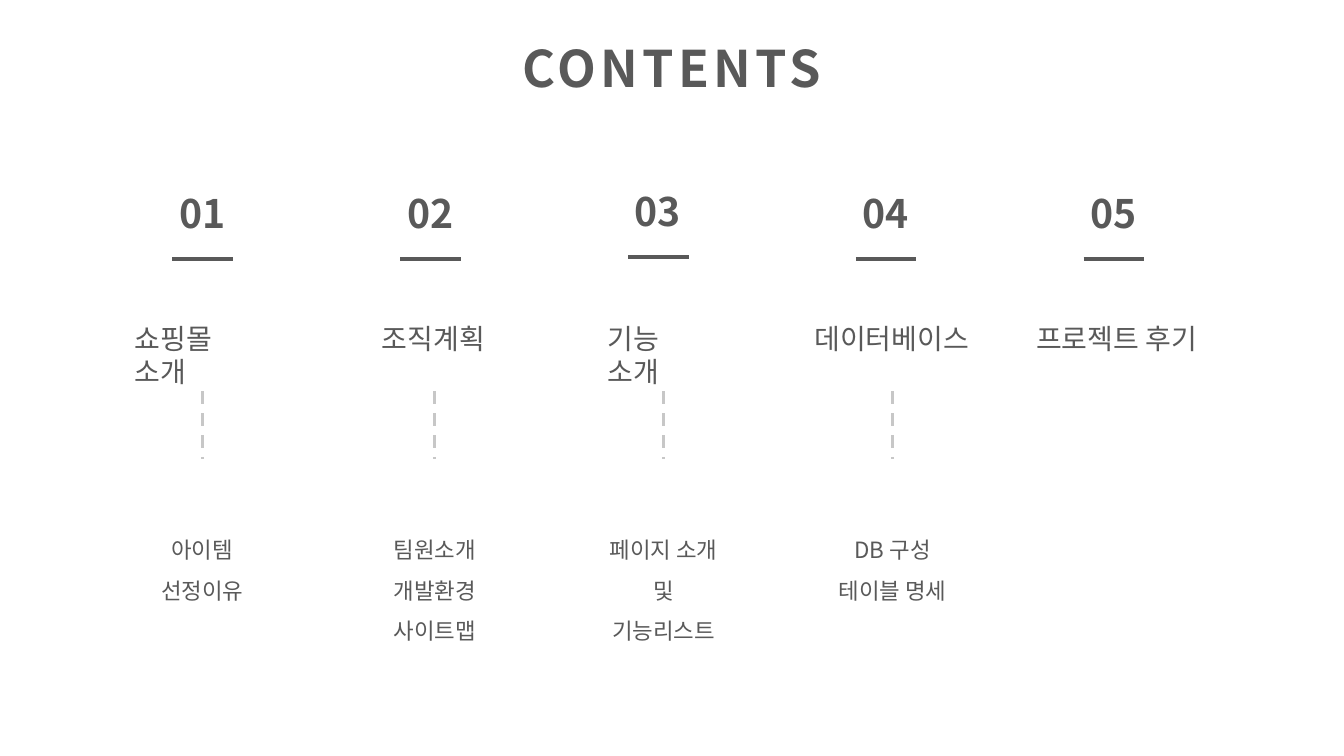
"""Build the five-column contents slide."""
from lxml.etree import SubElement
from pptx import Presentation
from pptx.dml.color import RGBColor
from pptx.enum.dml import MSO_LINE
from pptx.enum.shapes import MSO_CONNECTOR
from pptx.enum.text import MSO_ANCHOR, MSO_AUTO_SIZE, PP_ALIGN
from pptx.oxml.ns import qn
from pptx.util import Pt

FONT, DARK, GRAY = "Noto Sans CJK KR", "595959", "C7C7C7"


def write(sp, box, text, size, bold=False, align=PP_ALIGN.LEFT, wrap=False):
    sp.left, sp.top, sp.width, sp.height = [Pt(v) for v in box]
    tf = sp.text_frame
    tf.text = text
    tf.word_wrap = wrap
    tf.auto_size = MSO_AUTO_SIZE.NONE
    tf.vertical_anchor = MSO_ANCHOR.TOP
    for p in tf.paragraphs:
        p.alignment = align
        p.space_before = Pt(0)
        for r in p.runs:
            r.font.size, r.font.bold, r.font.name = Pt(size), bold, FONT
            r.font.color.rgb = RGBColor.from_string(DARK)
            SubElement(r.font._element, qn("a:ea"), typeface=FONT)
    return tf


def line(x1, y1, x2, y2, color, width):
    c = s.shapes.add_connector(MSO_CONNECTOR.STRAIGHT, Pt(x1), Pt(y1), Pt(x2), Pt(y2))
    c.line.color.rgb = RGBColor.from_string(color)
    c.line.width = Pt(width)
    SubElement(c._element.spPr, qn("a:effectLst"))
    return c


prs = Presentation()
prs.slide_width, prs.slide_height = Pt(960), Pt(540)
s = prs.slides.add_slide(prs.slide_layouts.get_by_name("Comparison"))

tf = write(s.shapes.title, (362, 23, 236, 51), "CONTENTS", 36, True, PP_ALIGN.CENTER)
tf.paragraphs[0].runs[0].font._element.set("spc", "300")

sections = [
    ("쇼핑몰\v소개", 89.3, 111.6),
    ("조직계획", 265.7, 88.6),
    ("기능\v소개", 427, 93.6),
    ("데이터베이스", 574.6, 126),
    ("프로젝트 후기", 733, 134.6),
]
for i, (heading, x, w) in enumerate(sections):
    left = 121 + 162.72 * i
    lift = 1.2 if i == 2 else 0
    sp = s.shapes.add_textbox(0, 0, 0, 0)
    write(sp, (left, 131.8 - lift, 48.2, 41), f"{i + 1:02d}", 28, True)
    line(left + 2.2, 185 - lift, left + 45.4, 185 - lift, DARK, 3)
    sp = s.shapes.add_textbox(0, 0, 0, 0)
    write(sp, (x, 226, w, 31.7), heading, 20, wrap="\v" in heading)

details = [
    ("아이템\n선정이유", 144.4, 144.7),
    ("팀원소개\n개발환경\n사이트맵", 310.6, 310.3),
    ("페이지 소개\n및\n기능리스트", 474.1, 473.8),
    ("DB 구성\n테이블 명세", 637.6, 637.2),
]
for idx, (text, center, dash_x) in enumerate(details, 1):
    box = (center - 55, 370, 110, 124)
    tf = write(s.placeholders[idx], box, text, 16, align=PP_ALIGN.CENTER, wrap=True)
    for p in tf.paragraphs:
        p.line_spacing = 1.5
        pPr = p._p.get_or_add_pPr()
        pPr.set("marL", "0")
        pPr.set("indent", "0")
        SubElement(pPr, qn("a:buNone"))
    line(dash_x, 279.4, dash_x, 327.6, GRAY, 2.25).line.dash_style = MSO_LINE.DASH

prs.save("out.pptx")
